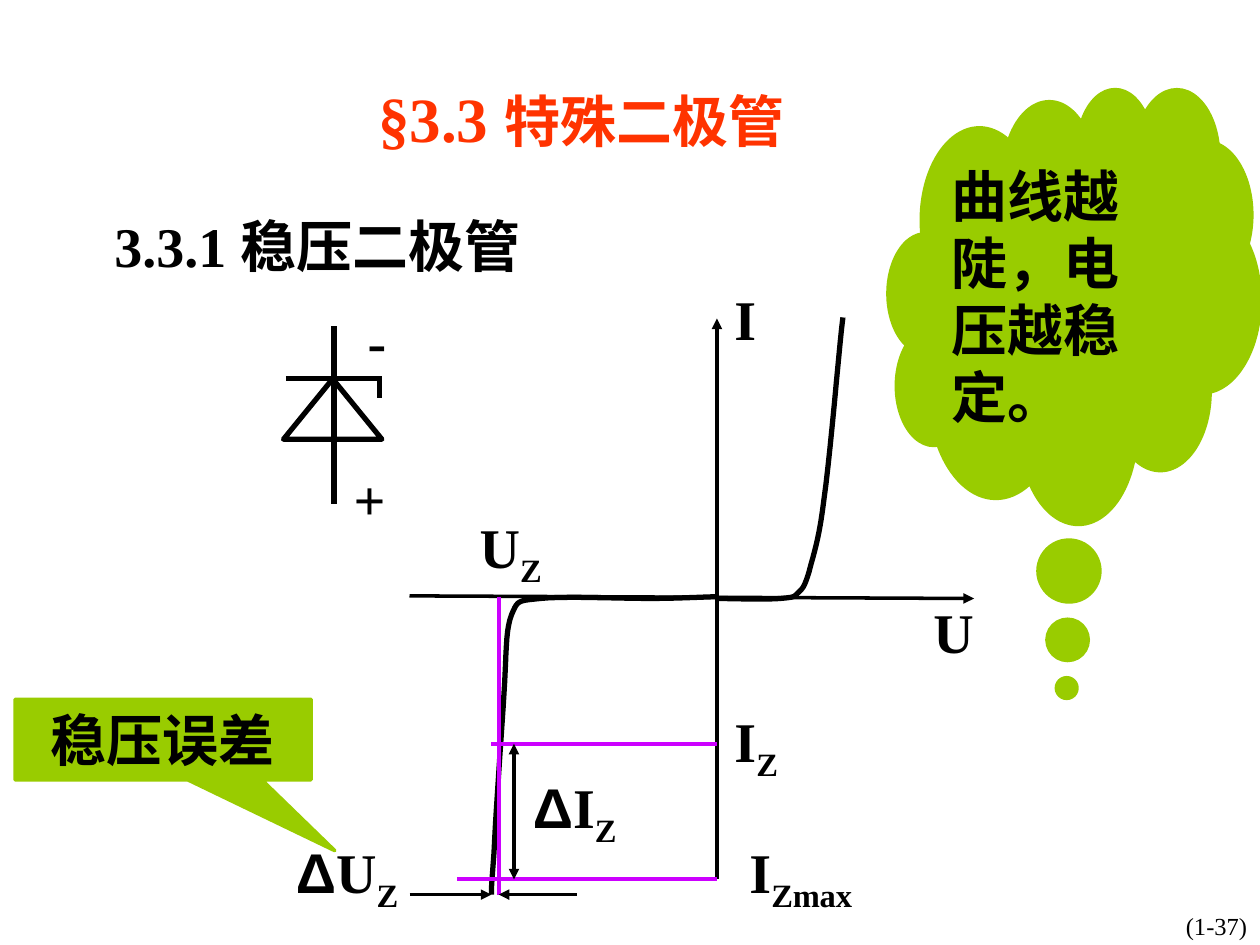
from dataclasses import dataclass

from lxml.etree import SubElement
from pptx import Presentation
from pptx.dml.color import RGBColor
from pptx.enum.shapes import MSO_CONNECTOR, MSO_SHAPE
from pptx.enum.text import MSO_ANCHOR, MSO_AUTO_SIZE, PP_ALIGN
from pptx.oxml.ns import qn
from pptx.util import Pt


@dataclass(frozen=True)
class Theme:
    ink: RGBColor = RGBColor(0, 0, 0)
    red: RGBColor = RGBColor(0xFF, 0x33, 0x00)
    mark: RGBColor = RGBColor(0xCC, 0x00, 0xFF)
    green: RGBColor = RGBColor(0x99, 0xCC, 0x00)
    serif: str = "Times New Roman"
    sans: str = "Arial"
    head: float = 36
    body: float = 32
    small: float = 14
    thin: float = 2
    mid: float = 2.25
    thick: float = 3


THEME = Theme()

# Bezier knots and handles in points from the origin of the axes
FORWARD = [(0, 1), (5.8, 1), (28, 1.7), (36, 1),
           (43.9, 0.3), (43.9, 0.3), (46, -1.9),
           (49, -4.8), (49.7, -4.8), (52.6, -14),
           (54.7, -22.8), (58.3, -31.4), (61.2, -55.9),
           (64.8, -80.4), (69.8, -142.3), (72, -159.6)]
REVERSE = [(0, 0), (-11.5, 0.3), (-22.3, 1), (-38.9, 1),
           (-56.2, 1), (-87.8, -0.4), (-100.8, 1),
           (-113.8, 2.4), (-113.8, 1.7), (-117.4, 10.4),
           (-121, 19.7), (-120.2, 32.7), (-121.7, 55.7),
           (-123.1, 78), (-126.7, 127.7), (-127.4, 146.4),
           (-128.9, 165.9), (-128.9, 166.6), (-128.9, 170.2)]


def style(run, size=THEME.body, color=THEME.ink, face=THEME.serif, bold=True):
    font = run.font
    font.size, font.bold, font.name = Pt(size), bold, face
    font.color.rgb = color


def write(frame, text, align=PP_ALIGN.LEFT, anchor=MSO_ANCHOR.TOP,
          wrap=True, **look):
    frame.word_wrap, frame.vertical_anchor = wrap, anchor
    frame.text = text
    para = frame.paragraphs[0]
    para.alignment = align
    style(para.runs[0], **look)
    return para


def label(slide, box, text, **look):
    frame = slide.shapes.add_textbox(*map(Pt, box)).text_frame
    return write(frame, text, **look)


def symbol(slide, box, name, sub="", delta=False):
    """Place a quantity such as ΔI with its subscript."""
    if delta:
        para = label(slide, box, "Δ", face=THEME.sans)
        run = para.add_run()
        run.text = name
        style(run)
    else:
        para = label(slide, box, name)
    if sub:
        run = para.add_run()
        run.text = sub
        style(run)
        run.font._element.set("baseline", "-25000")


def line(slide, start, end, color=THEME.ink, width=THEME.thin, tips=()):
    """Draw a line; tips names the ends with arrows, headEnd or tailEnd."""
    link = slide.shapes.add_connector(
        MSO_CONNECTOR.STRAIGHT, *map(Pt, (*start, *end)))
    link.line.color.rgb = color
    link.line.width = Pt(width)
    pen = link.line._get_or_add_ln()
    for tip in tips:
        SubElement(pen, qn("a:" + tip), type="triangle")
    SubElement(link._element.spPr, qn("a:effectLst"))


def curve(slide, x, y, knots, steps=10):
    """Draw a chain of cubic Bezier arcs around the point x, y."""
    spots = [knots[0]]
    for i in range(0, len(knots) - 1, 3):
        for k in range(1, steps + 1):
            t = k / steps
            w = ((1 - t) ** 3, 3 * t * (1 - t) ** 2, 3 * t * t * (1 - t), t ** 3)
            spots.append([sum(a * p[n] for a, p in zip(w, knots[i:i + 4]))
                          for n in (0, 1)])
    spots = [(Pt(x + a), Pt(y + b)) for a, b in spots]
    path = slide.shapes.build_freeform(*spots[0])
    path.add_line_segments(spots[1:], close=False)
    outline(path.convert_to_shape())


def outline(shape):
    shape.shadow.inherit = False
    shape.fill.background()
    shape.line.color.rgb = THEME.ink
    shape.line.width = Pt(THEME.thick)


def heading(slide, box):
    title = slide.shapes.title
    title.left, title.top, title.width, title.height = map(Pt, box)
    frame = title.text_frame
    frame.auto_size = MSO_AUTO_SIZE.NONE
    para = write(frame, "§3.3 ", size=THEME.head, color=THEME.red)
    run = para.add_run()
    run.text = "特殊二极管"
    style(run, color=THEME.red)


def callout(slide, box, kind, tip, text, align):
    shape = slide.shapes.add_shape(kind, *map(Pt, box))
    shape.shadow.inherit = False
    shape.adjustments[0], shape.adjustments[1] = tip
    shape.fill.solid()
    shape.fill.fore_color.rgb = THEME.green
    shape.line.color.rgb = THEME.green
    shape.line.width = Pt(THEME.thin)
    write(shape.text_frame, text, align=align, anchor=MSO_ANCHOR.MIDDLE)


def diode(slide, box):
    """Draw the Zener symbol with its two poles."""
    x, y, wide, high = box
    bar, mid = y + 30, x + wide / 2 + 0.8
    body = slide.shapes.add_shape(
        MSO_SHAPE.ISOSCELES_TRIANGLE, *map(Pt, (x, bar, wide, 34.5)))
    outline(body)
    strokes = [((x + 1.4, bar), (x + wide, bar)),
               ((x + wide - 1.3, bar), (x + wide - 1.3, bar + 11)),
               ((mid, y), (mid, y + high))]
    for start, end in strokes:
        line(slide, start, end, width=THEME.thick)
    for dx, dy, wide, sign in [(33, 75, 32.4, "+"), (41, -15, 25, "-")]:
        label(slide, (x + dx, y + dy, wide, 46), sign, wrap=False,
              align=PP_ALIGN.CENTER, anchor=MSO_ANCHOR.MIDDLE)


def graph(slide, box):
    """Draw the current and voltage axes, both branches and the marks."""
    left, top, wide, high = box
    x, y = left + 175.7, top + 182
    low, zener, edge, gap = y + 161.5, x - 124.7, x - 128.9, x - 116
    work, base = y + 84, y + 170.2
    line(slide, (x, top + 23), (x, low), tips=["headEnd"])
    line(slide, (left, y - 0.5), (left + wide, y + 1), tips=["tailEnd"])
    for knots in (FORWARD, REVERSE):
        curve(slide, x, y, knots)
    for start, end in [((zener, y), (zener, base)),
                       ((edge, work), (x, work)),
                       ((x - 148.3, low), (x, low))]:
        line(slide, start, end, THEME.mark, THEME.mid)
    line(slide, (left, base), (edge, base), tips=["tailEnd"])
    line(slide, (zener, base), (zener + 44.6, base), tips=["headEnd"])
    line(slide, (gap, work), (gap, low), tips=["headEnd", "tailEnd"])
    for dx, dy, width, *parts in [
            (178.6, 0, 30, "I"),
            (292.3, 178.7, 112, "U"),
            (33, 130.4, 101, "U", "Z"),
            (178.6, 241.3, 137, "I", "Z"),
            (187.2, 316.2, 150, "I", "Zmax"),
            (-72, 316.2, 132, "U", "Z", True),
            (63.4, 278.8, 101, "I", "Z", True)]:
        symbol(slide, (left + dx, top + dy, width, 51), *parts)


def main():
    deck = Presentation()
    deck.slide_width, deck.slide_height = Pt(720), Pt(540)
    slide = deck.slides.add_slide(deck.slide_layouts[5])
    heading(slide, (208.8, 41.8, 313, 50.4))
    label(slide, (58.3, 117.4, 317.5, 46), "3.3.1 稳压二极管")
    graph(slide, (234, 159, 322.6, 367))
    callout(slide, (8.6, 399.6, 169.2, 46), MSO_SHAPE.RECTANGULAR_CALLOUT,
            (0.58, 1.38), "稳压误差", PP_ALIGN.CENTER)
    callout(slide, (507.6, 50.4, 212.4, 248.4), MSO_SHAPE.CLOUD_CALLOUT,
            (-0.02, 0.88), "曲线越陡，电压越稳定。", PP_ALIGN.LEFT)
    diode(slide, (162, 186.5, 56.2, 101.5))
    label(slide, (625.7, 517, 139, 23.8), "(1-37)", size=THEME.small,
          bold=False, align=PP_ALIGN.CENTER, anchor=MSO_ANCHOR.MIDDLE)
    deck.save("out.pptx")


if __name__ == "__main__":
    main()
